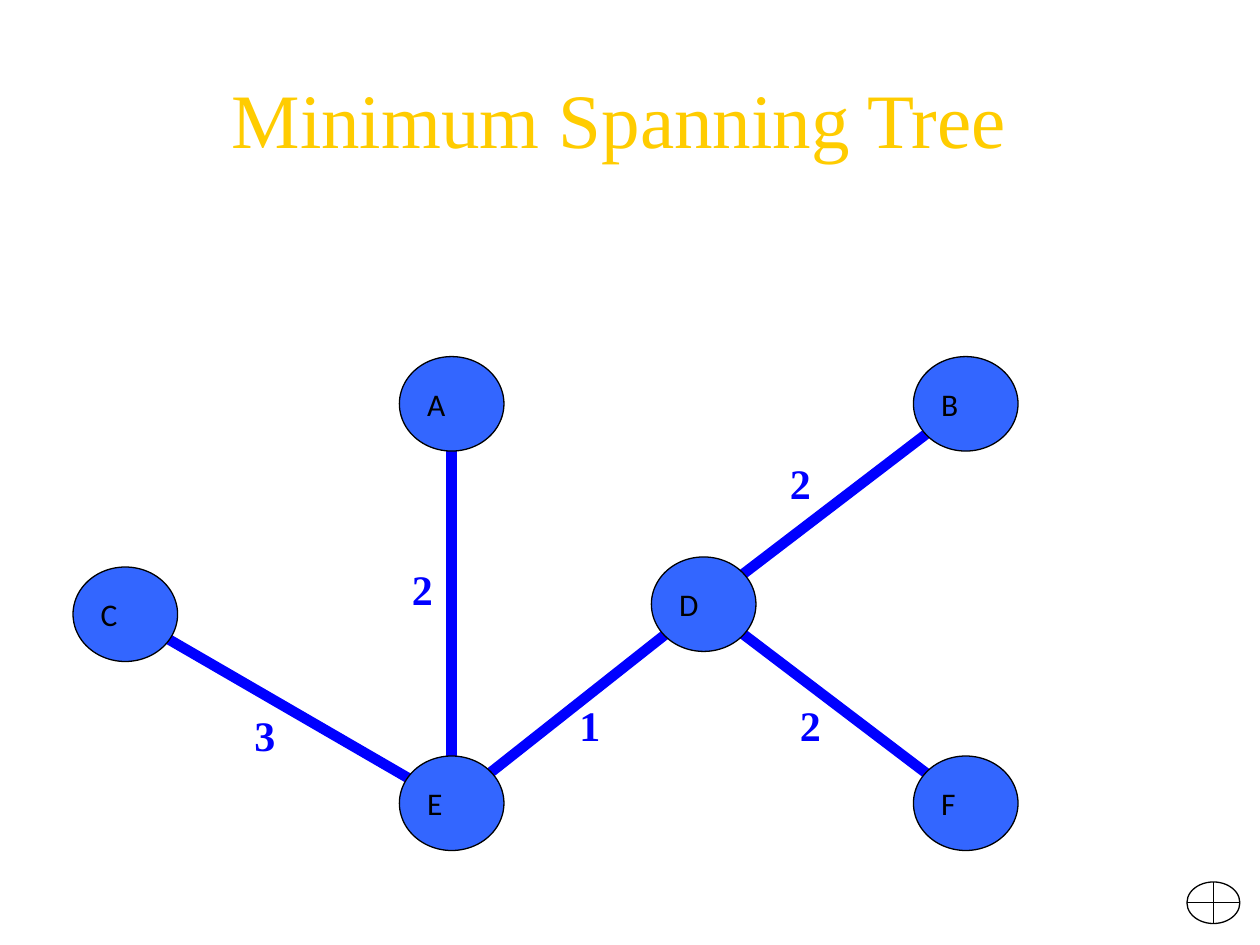
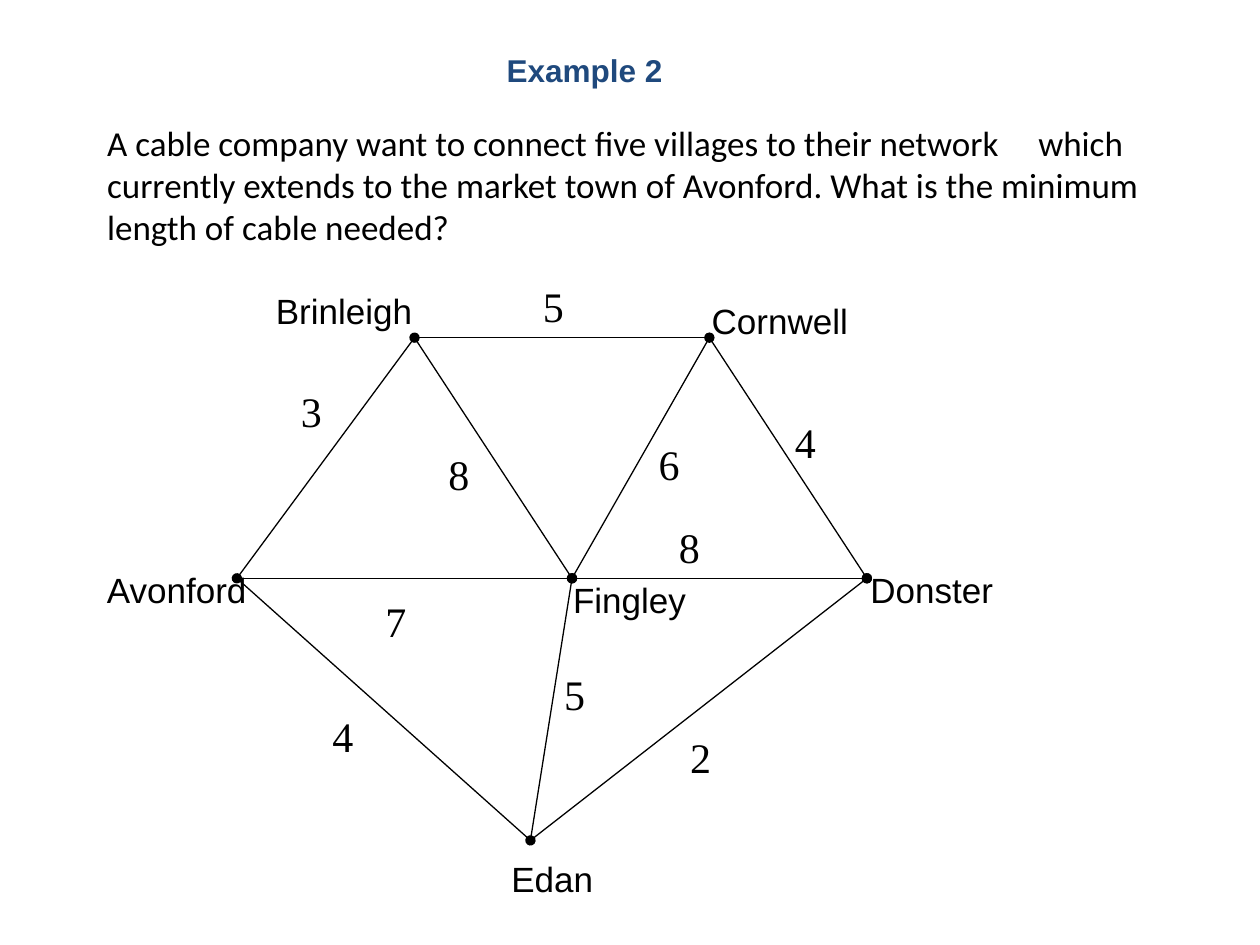
from lxml import etree
from pptx import Presentation
from pptx.dml.color import RGBColor
from pptx.enum import shapes, text
from pptx.oxml import ns
from pptx.util import Inches, Pt

BLACK = RGBColor(0x00, 0x00, 0x00)
EDGE_BLUE = RGBColor(0x00, 0x00, 0xFF)
NODE_BLUE = RGBColor(0x33, 0x66, 0xFF)
HEADING_BLUE = RGBColor(0x1F, 0x49, 0x7D)
GOLD = RGBColor(0xFF, 0xCC, 0x00)
SERIF, SANS, BODY = "Times New Roman", "Arial", "Calibri"
LEFT, CENTER, RIGHT = text.PP_ALIGN.LEFT, text.PP_ALIGN.CENTER, text.PP_ALIGN.RIGHT

TREE_TITLE = "Minimum Spanning Tree"
NODE_SIZE = (0.83, 0.75)
TREE_NODES = {
    "A": (3.17, 2.83),
    "B": (7.25, 2.83),
    "C": (0.58, 4.5),
    "D": (5.17, 4.42),
    "E": (3.17, 6),
    "F": (7.25, 6),
}
TREE_EDGES = [
    ("A", "E", "2", (3.17, 4.42)),
    ("D", "F", "2", (6.25, 5.5)),
    ("D", "E", "1", (4.5, 5.5)),
    ("D", "B", "2", (6.17, 3.58)),
    ("C", "E", "3", (1.92, 5.58)),
]
OR_SYMBOL = (9.42, 7, 0.42, 0.33)

EXAMPLE_HEADING = "Example 2"
QUESTION = (
    "A cable company want to connect five villages to their network\twhich "
    "currently extends to the market town of Avonford. "
    "What is the minimum length of cable needed?"
)
QUESTION_TAB = 7.39
VILLAGES = {
    "Avonford": ((1.88, 4.59), (0.75, 4.46, 1.34, 0.44)),
    "Brinleigh": ((3.29, 2.68), (2.09, 2.25, 1.29, 0.44)),
    "Cornwell": ((5.63, 2.68), (5.55, 2.33, 1.42, 0.44)),
    "Donster": ((6.88, 4.59), (6.81, 4.46, 1.51, 0.44)),
    "Edan": ((4.21, 6.67), (3.96, 6.76, 1.04, 0.44)),
    "Fingley": ((4.54, 4.59), (4.45, 4.54, 1.16, 0.44)),
}
HEAD, TAIL = "headEnd", "tailEnd"
CABLES = [
    ("Avonford", "Brinleigh", "3", (2.29, 3.01), (HEAD, TAIL)),
    ("Brinleigh", "Cornwell", "5", (4.21, 2.18), (TAIL,)),
    ("Cornwell", "Donster", "4", (6.21, 3.26), (TAIL,)),
    ("Avonford", "Fingley", "7", (2.96, 4.68), ()),
    ("Fingley", "Donster", "8", (5.29, 4.09), ()),
    ("Brinleigh", "Fingley", "8", (3.46, 3.51), (TAIL,)),
    ("Fingley", "Cornwell", "6", (5.13, 3.43), ()),
    ("Avonford", "Edan", "4", (2.54, 5.59), ()),
    ("Edan", "Fingley", "5", (4.38, 5.26), (HEAD, TAIL)),
    ("Edan", "Donster", "2", (5.38, 5.76), (TAIL,)),
]


def inches(lengths):
    return [Inches(length) for length in lengths]


def write(box, words, font, size, color, bold=False, align=LEFT):
    box.text_frame.text = words
    para = box.text_frame.paragraphs[0]
    para.alignment = align
    for span in para.runs:
        span.font.name = font
        span.font.size = Pt(size)
        span.font.bold = bold
        span.font.color.rgb = color


def add_label(canvas, frame, *style, **options):
    box = canvas.add_textbox(*inches(frame))
    box.text_frame.word_wrap = True
    box.text_frame.auto_size = text.MSO_AUTO_SIZE.SHAPE_TO_FIT_TEXT
    write(box, *style, **options)


def add_weight(canvas, corner, weight, color, bold=False):
    add_label(canvas, (*corner, 0.5, 0.5), weight, SERIF, 24, color, bold=bold)


def add_edge(canvas, start, end, color, width, dots=()):
    edge = canvas.add_connector(shapes.MSO_CONNECTOR.STRAIGHT, *inches(start + end))
    edge.line.color.rgb = color
    edge.line.width = Pt(width)
    for dot in dots:
        etree.SubElement(edge.line._get_or_add_ln(), ns.qn("a:" + dot), type="oval")
    etree.SubElement(edge._element.spPr, ns.qn("a:effectLst"))


def add_outlined(canvas, kind, frame, fill=None):
    shape = canvas.add_shape(kind, *inches(frame))
    shape.shadow.inherit = False
    if fill is None:
        shape.fill.background()
    else:
        shape.fill.solid()
        shape.fill.fore_color.rgb = fill
    shape.line.color.rgb = BLACK
    shape.line.width = Pt(0.75)
    return shape


def place_title(page, frame, anchor, auto_size):
    title = page.shapes.title
    title.left, title.top, title.width, title.height = inches(frame)
    title.text_frame.word_wrap = True
    title.text_frame.vertical_anchor = anchor
    title.text_frame.auto_size = auto_size
    return title


def build_tree(page):
    title = place_title(page, (1.3, 0.52, 6.79, 0.84), text.MSO_ANCHOR.TOP,
                        text.MSO_AUTO_SIZE.SHAPE_TO_FIT_TEXT)
    write(title, TREE_TITLE, SERIF, 44, GOLD, align=RIGHT)
    width, height = NODE_SIZE
    centers = {name: (left + width / 2, top + height / 2)
               for name, (left, top) in TREE_NODES.items()}
    for start, end, _, _ in TREE_EDGES:
        add_edge(page.shapes, centers[start], centers[end], EDGE_BLUE, 6)
    for name, corner in TREE_NODES.items():
        node = add_outlined(page.shapes, shapes.MSO_SHAPE.OVAL, corner + NODE_SIZE, NODE_BLUE)
        node.text_frame.word_wrap = False
        node.text_frame.vertical_anchor = text.MSO_ANCHOR.MIDDLE
        write(node, name, BODY, 18, BLACK)
    for _, _, weight, corner in TREE_EDGES:
        add_weight(page.shapes, corner, weight, EDGE_BLUE, bold=True)
    add_outlined(page.shapes, shapes.MSO_SHAPE.FLOWCHART_OR, OR_SYMBOL)


def build_example(page):
    title = place_title(page, (0.75, 0.84, 8.5, 1.25), text.MSO_ANCHOR.MIDDLE,
                        text.MSO_AUTO_SIZE.NONE)
    write(title, QUESTION, BODY, 20, BLACK)
    properties = title.text_frame.paragraphs[0]._p.get_or_add_pPr()
    tabs = etree.SubElement(properties, ns.qn("a:tabLst"))
    etree.SubElement(tabs, ns.qn("a:tab"), pos=str(Inches(QUESTION_TAB)), algn="l")
    network = page.shapes.add_group_shape().shapes
    for start, end, _, _, dots in CABLES:
        add_edge(network, VILLAGES[start][0], VILLAGES[end][0], BLACK, 0.75, dots)
    for village, (_, frame) in VILLAGES.items():
        add_label(network, frame, village, SANS, 20, BLACK)
    for _, _, weight, corner, _ in CABLES:
        add_weight(network, corner, weight, BLACK)
    add_label(page.shapes, (3.46, 0.36, 2.36, 0.4), EXAMPLE_HEADING, SANS, 18,
              HEADING_BLUE, bold=True, align=CENTER)


def main():
    deck = Presentation()
    deck.slide_width, deck.slide_height = inches((10, 7.5))
    title_only = deck.slide_layouts[5]
    for build in (build_tree, build_example):
        build(deck.slides.add_slide(title_only))
    deck.save("out.pptx")


if __name__ == "__main__":
    main()
